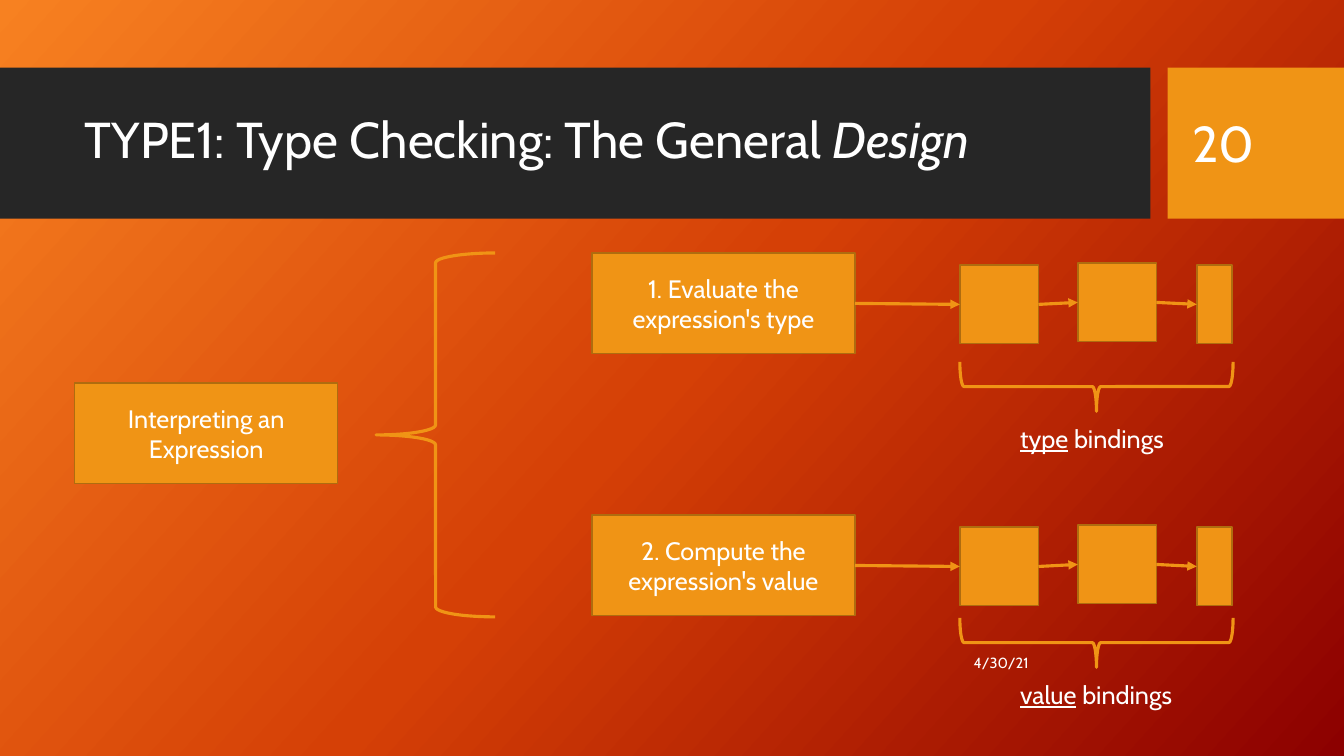
import copy

import lxml.etree
import pptx
import pptx.dml.color
import pptx.enum.shapes
import pptx.enum.text
import pptx.oxml.ns
import pptx.util

Inches = pptx.util.Inches
RGBColor = pptx.dml.color.RGBColor
Shape = pptx.enum.shapes.MSO_SHAPE
Align = pptx.enum.text.PP_ALIGN
Anchor = pptx.enum.text.MSO_ANCHOR
qn = pptx.oxml.ns.qn

FONT = "Cabin"
WHITE = RGBColor(0xFF, 0xFF, 0xFF)
CHARCOAL = RGBColor(0x26, 0x26, 0x26)
AMBER = RGBColor(0xF0, 0x94, 0x15)
BROWN = RGBColor(0xAF, 0x6C, 0x0F)
BACKGROUND_STOPS = [
    (0, RGBColor(0xF7, 0x81, 0x21)),
    (0.5, RGBColor(0xD5, 0x40, 0x06)),
    (1, RGBColor(0x8C, 0x00, 0x00)),
]
LEFT_SIDE, RIGHT_SIDE = 1, 3


def write(shape, *paragraphs, size=18, align=Align.LEFT, anchor=Anchor.MIDDLE):
    """Fill a shape with paragraphs, each a list of (text, font attributes) runs."""
    frame = shape.text_frame
    frame.word_wrap = True
    frame.auto_size = pptx.enum.text.MSO_AUTO_SIZE.NONE
    frame.vertical_anchor = anchor
    for index, runs in enumerate(paragraphs):
        para = frame.add_paragraph() if index else frame.paragraphs[0]
        para.alignment = align
        for text, style in runs:
            span = para.add_run()
            span.text = text
            span.font.name = FONT
            span.font.size = pptx.util.Pt(size)
            span.font.color.rgb = WHITE
            for attribute, value in style.items():
                setattr(span.font, attribute, value)


def add_text(page, left, top, width, height, *paragraphs, **text_format):
    box = page.shapes.add_textbox(
        Inches(left), Inches(top), Inches(width), Inches(height))
    write(box, *paragraphs, **text_format)


def add_box(page, left, top, width, height, fill=AMBER, outline=BROWN):
    box = page.shapes.add_shape(
        Shape.RECTANGLE, Inches(left), Inches(top), Inches(width), Inches(height))
    box.shadow.inherit = False
    box.fill.solid()
    box.fill.fore_color.rgb = fill
    if outline is None:
        box.line.fill.background()
    else:
        box.line.color.rgb = outline
        box.line.width = pptx.util.Pt(1)
    return box


def add_brace(page, left, top, width, height, rotation=0):
    brace = page.shapes.add_shape(
        Shape.LEFT_BRACE, Inches(left), Inches(top), Inches(width), Inches(height))
    brace.shadow.inherit = False
    brace.fill.background()
    brace.line.color.rgb = AMBER
    brace.line.width = pptx.util.Pt(2.25)
    brace.rotation = rotation


def add_arrow(page, source, target):
    arrow = page.shapes.add_connector(
        pptx.enum.shapes.MSO_CONNECTOR.STRAIGHT, 0, 0, 0, 0)
    arrow.begin_connect(source, RIGHT_SIDE)
    arrow.end_connect(target, LEFT_SIDE)
    arrow.line.color.rgb = AMBER
    arrow.line.width = pptx.util.Pt(2.25)
    lxml.etree.SubElement(arrow.line._get_or_add_ln(), qn("a:tailEnd"), type="triangle")
    lxml.etree.SubElement(arrow.element.spPr, qn("a:effectLst"))


def paint_background(page):
    fill = page.background.fill
    fill.gradient()
    fill.gradient_angle = 318
    stop_list = page.element.find(".//" + qn("a:gsLst"))
    stop_list.append(copy.deepcopy(stop_list[0]))
    for stop, (position, color) in zip(fill.gradient_stops, BACKGROUND_STOPS):
        stop.position = position
        stop.color.rgb = color


def build_header(page, top, height):
    add_box(page, 0, top, 11.41, height, fill=CHARCOAL, outline=None)
    add_box(page, 11.58, top, 1.75, height, outline=None)
    title = page.shapes.title
    title.left, title.top = Inches(0.74), Inches(top + 0.15)
    title.width, title.height = Inches(10.51), Inches(1.18)
    write(title, [("TYPE1: Type Checking: The General ", {}),
                  ("Design", {"italic": True})], size=36)
    title.text_frame.paragraphs[0].line_spacing = 0.9
    page.shapes._spTree.append(title.element)
    add_text(page, 11.73, top + 0.15, 1.26, 1.19, [("20", {})], size=36)


def build_step(page, left, top, caption, kind, brace_top, label_width):
    """Draw a step, its chain of bindings, and the labelled brace below the chain."""
    step = add_box(page, left, top, 2.61, 1)
    write(step, [(caption, {})], align=Align.CENTER)
    chain_left = left + 3.65
    links = [add_box(page, chain_left + offset, top + drop, width, 0.78)
             for offset, drop, width in
             [(0, 0.12, 0.78), (1.17, 0.1, 0.78), (2.35, 0.12, 0.35)]]
    for source, target in zip([step] + links, links):
        add_arrow(page, source, target)

    span, depth = 2.71, 0.49
    add_brace(page, chain_left + (span - depth) / 2, brace_top - (span - depth) / 2,
              depth, span, rotation=270)
    add_text(page, chain_left + 0.5, brace_top + 0.56, label_width, 0.4,
             [(kind, {"underline": True}), (" bindings", {})], anchor=Anchor.TOP)


def build_diagram(page, left, top):
    root = add_box(page, left, top + 1.29, 2.61, 1)
    write(root, [("Interpreting an", {})], [("Expression", {})], align=Align.CENTER)
    add_brace(page, left + 2.99, top, 1.18, 3.61)
    step_left = left + 5.13
    build_step(page, step_left, top, "1. Evaluate the expression's type",
               "type", top + 1.08, 1.71)
    build_step(page, step_left, top + 2.6, "2. Compute the expression's value",
               "value", top + 3.62, 2.21)


def main():
    deck = pptx.Presentation()
    deck.slide_width, deck.slide_height = Inches(13.33), Inches(7.5)
    page = deck.slides.add_slide(deck.slide_layouts.get_by_name("Title Only"))
    paint_background(page)
    build_header(page, 0.67, 1.5)
    add_text(page, 7.3, 6.37, 3, 0.4, [("4/30/21", {})], size=10.5, align=Align.RIGHT)
    build_diagram(page, 0.74, 2.51)
    deck.save("out.pptx")


if __name__ == "__main__":
    main()
